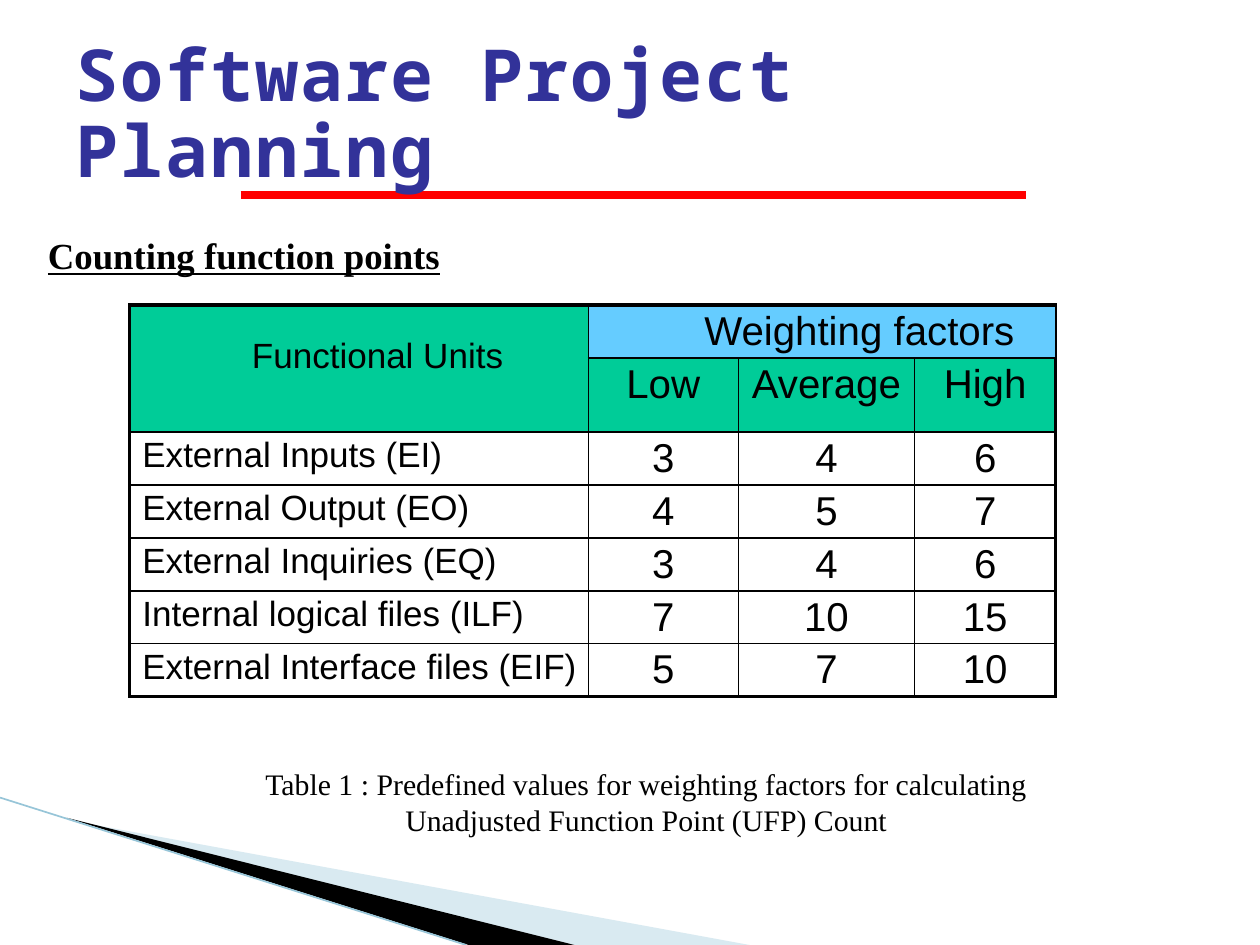
from lxml import etree
from pptx import Presentation
from pptx.dml.color import RGBColor
from pptx.enum.shapes import MSO_CONNECTOR
from pptx.enum.text import MSO_ANCHOR, MSO_AUTO_SIZE, PP_ALIGN
from pptx.oxml.ns import qn
from pptx.util import Emu, Pt

LEFT, MID = PP_ALIGN.LEFT, PP_ALIGN.CENTER
TOP, CENTER = MSO_ANCHOR.TOP, MSO_ANCHOR.MIDDLE
FIXED = MSO_AUTO_SIZE.NONE
LINE = MSO_CONNECTOR.STRAIGHT

COLS, ROWS = 100, 75
UNIT = 91440
BLACK, GREEN, BLUE = "000000", "00CC98", "65CCFF"
SERIF, SANS, MONO = "Times New Roman", "Arial", "Noto Sans Mono"
UNITS = [
    ("External Inputs (EI)", 3, 4, 6),
    ("External Output (EO)", 4, 5, 7),
    ("External Inquiries (EQ)", 3, 4, 6),
    ("Internal logical files (ILF)", 7, 10, 15),
    ("External Interface files (EIF)", 5, 7, 10),
]
WIDTHS = [36.4, 11.9, 14, 11.2]
HEIGHTS = [4.2, 5.9] + [4.2] * len(UNITS)


def grid(*cells):
    return [Emu(round(cell * UNIT)) for cell in cells]


def color(code):
    return RGBColor.from_string(code)


def paint(fill, code):
    fill.solid()
    fill.fore_color.rgb = color(code)


def style(para, face, size, code=BLACK, align=LEFT, bold=False, under=False):
    para.alignment = align
    font = para.font
    font.name, font.size, font.bold, font.underline = face, Pt(size), bold, under
    font.color.rgb = color(code)


def label(slide, box, text, size, **look):
    frame = slide.shapes.add_textbox(*grid(*box)).text_frame
    frame.word_wrap = True
    frame.margin_left = frame.margin_right = frame.margin_bottom = 0
    frame.margin_top = Pt(0.7)
    para = frame.paragraphs[0]
    para.text = text
    para.space_before = Pt(0.7)
    style(para, SERIF, size, **look)


def wedge(slide, points, code, alpha=100):
    dots = [grid(*point) for point in points]
    build = slide.shapes.build_freeform(*dots[0])
    build.add_line_segments(dots[1:], close=True)
    shape = build.convert_to_shape()
    shape.shadow.inherit = False
    paint(shape.fill, code)
    shape.line.fill.background()
    if alpha < 100:
        tone = shape.fill._xPr.find(".//" + qn("a:srgbClr"))
        etree.SubElement(tone, qn("a:alpha"), val=str(alpha * 1000))


def rule(slide, start, end, code, width):
    line = slide.shapes.add_connector(LINE, *grid(*start, *end))
    line.line.color.rgb = color(code)
    line.line.width = Pt(width)
    etree.SubElement(line._element.spPr, qn("a:effectLst"))


def border(cell, row, col):
    props = cell._tc.get_or_add_tcPr()
    edges = {"lnL": col == 0, "lnR": col == len(WIDTHS) - 1,
             "lnT": row == 0, "lnB": row == len(HEIGHTS) - 1}
    for spot, (tag, outer) in enumerate(edges.items()):
        line = etree.Element(qn("a:" + tag), w=str(Pt(2.25 if outer else 1)))
        fill = etree.SubElement(line, qn("a:solidFill"))
        etree.SubElement(fill, qn("a:srgbClr"), val=BLACK)
        props.insert(spot, line)


def write(cell, text, size, fill=None, align=MID, left=0, top=0.3):
    cell.margin_left, cell.margin_top = grid(left, top)
    cell.margin_right = cell.margin_bottom = 0
    cell.vertical_anchor = TOP
    cell.text = str(text)
    style(cell.text_frame.paragraphs[0], SANS, size, align=align)
    if fill:
        paint(cell.fill, fill)
    else:
        cell.fill.background()


def factors(slide):
    box = grid(10.3, 24.2, sum(WIDTHS), sum(HEIGHTS))
    table = slide.shapes.add_table(len(HEIGHTS), len(WIDTHS), *box).table
    table.first_row = table.horz_banding = False
    for col, width in zip(table.columns, grid(*WIDTHS)):
        col.width = width
    for row, height in zip(table.rows, grid(*HEIGHTS)):
        row.height = height
    table.cell(0, 0).merge(table.cell(1, 0))
    table.cell(0, 1).merge(table.cell(0, 3))
    write(table.cell(0, 0), "Functional Units", 20, GREEN, LEFT, 9.7, 2.5)
    write(table.cell(0, 1), "Weighting factors", 23, BLUE, LEFT, 9.2)
    for col, name in enumerate(("Low", "Average", "High"), 1):
        write(table.cell(1, col), name, 23, GREEN)
    for row, (name, *values) in enumerate(UNITS, 2):
        write(table.cell(row, 0), name, 20, align=LEFT, left=1)
        for col, value in enumerate(values, 1):
            write(table.cell(row, col), value, 23)
    for row in range(len(HEIGHTS)):
        for col in range(len(WIDTHS)):
            border(table.cell(row, col), row, col)


def head(slide, text):
    title = slide.shapes.title
    title.left, title.top, title.width, title.height = grid(5, 3, 90, 12.5)
    frame = title.text_frame
    frame.text = text
    frame.auto_size = FIXED
    frame.word_wrap = True
    frame.vertical_anchor = CENTER
    para = frame.paragraphs[0]
    para.line_spacing = 0.88
    style(para, MONO, 41, "323299", bold=True)
    para.runs[0]._r.get_or_add_rPr().set("spc", "110")
    slide.shapes._spTree.append(title._element)


def main():
    deck = Presentation()
    deck.slide_width, deck.slide_height = grid(COLS, ROWS)
    slide = deck.slides.add_slide(deck.slide_layouts[5])
    wedge(slide, [(5.5, 65.1), (59.5, ROWS), (45.6, ROWS)], "A0CBDC", 40)
    wedge(slide, [(5.3, 64.9), (45.6, ROWS), (37.2, ROWS)], BLACK)
    rule(slide, (0, 63.3), (37, ROWS), "97C5D8", 0.95)
    label(slide, (3.8, 18.4, 44.1, 3.6), "Counting function points", 21,
          bold=True, under=True)
    factors(slide)
    label(slide, (16.2, 60.7, 70.2, 5.8),
          "Table 1 : Predefined values for weighting factors for calculating "
          "Unadjusted Function Point (UFP) Count", 17, align=MID)
    rule(slide, (19.1, 15.5), (81.4, 15.5), "FF0000", 4.5)
    head(slide, "Software Project Planning")
    deck.save("out.pptx")


main()
